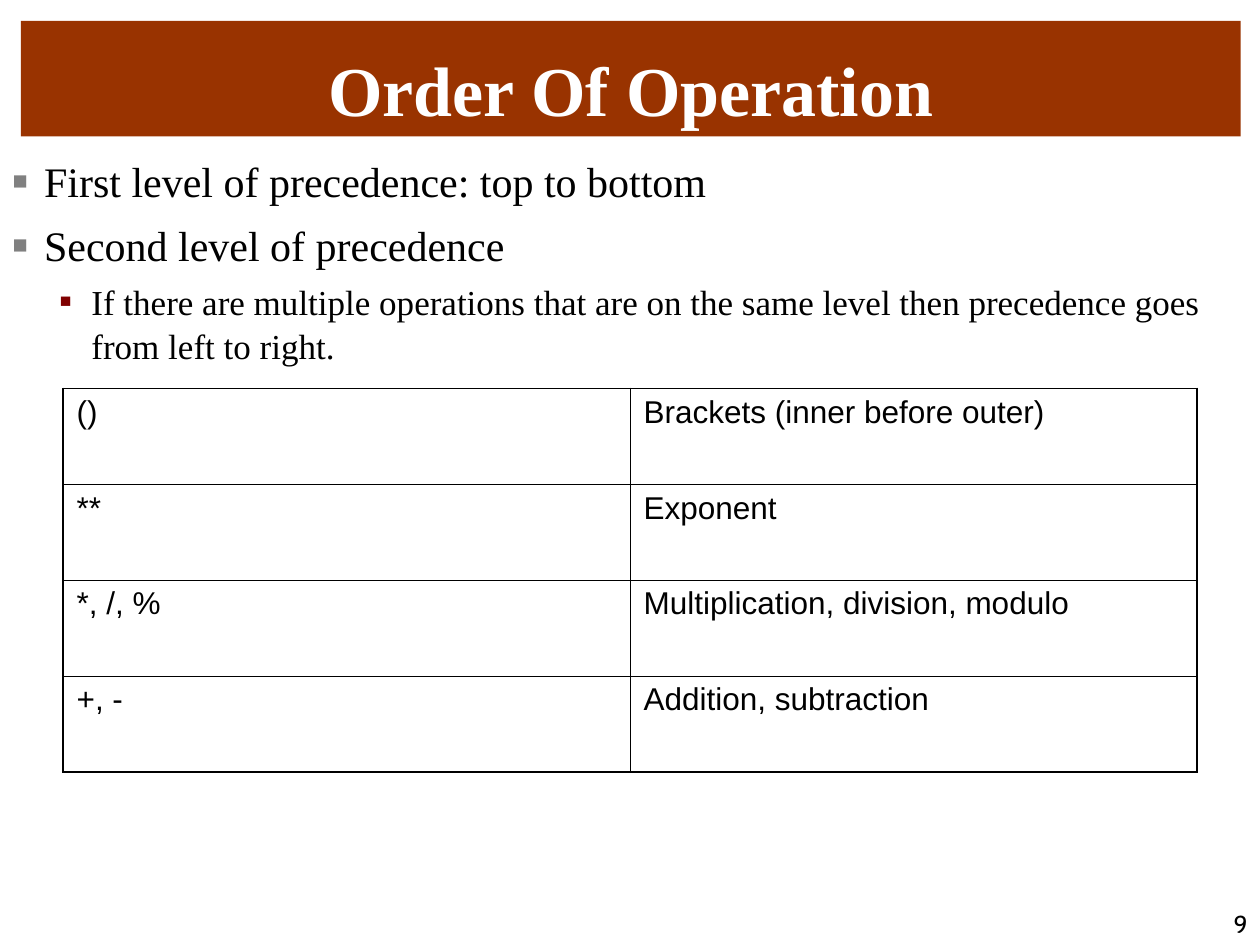
import pptx
import pptx.dml.color
import pptx.enum.text
import pptx.oxml
import pptx.oxml.ns
import pptx.util

Pt = pptx.util.Pt
ALIGN = pptx.enum.text.PP_ALIGN
ANCHOR = pptx.enum.text.MSO_ANCHOR
NS = pptx.oxml.ns.nsdecls("a")
SERIF = "Times New Roman"
BULLETS = [
    ("First level of precedence: top to bottom", 0),
    ("Second level of precedence", 0),
    ("If there are multiple operations that are on the same level "
     "then precedence goes from left to right.", 1),
]
LEVELS = [
    dict(size=24, before=6, indent=18, color="808080", scale=60),
    dict(size=20, before=5, indent=45, color="800000", scale=55),
]
OPERATORS = [
    ("()", "Brackets (inner before outer)"),
    ("**", "Exponent"),
    ("*, /, %", "Multiplication, division, modulo"),
    ("+, -", "Addition, subtraction"),
]


def rgb(color):
    return pptx.dml.color.RGBColor.from_string(color)


def write(p, text, font=SERIF, size=18, color="000000", bold=False,
          align=ALIGN.LEFT, before=0, spacing=None):
    p.alignment = align
    p.space_before = Pt(before)
    p.line_spacing = spacing
    r = p.add_run()
    r.text = text
    r.font.name = font
    r.font.size = Pt(size)
    r.font.bold = bold
    r.font.color.rgb = rgb(color)


def place(sp, box, anchor):
    sp.left, sp.top, sp.width, sp.height = [Pt(v) for v in box]
    tf = sp.text_frame
    tf.word_wrap = True
    tf.auto_size = pptx.enum.text.MSO_AUTO_SIZE.NONE
    tf.vertical_anchor = anchor
    return tf


def add_bullet(p, indent, color, scale):
    pPr = p._p.get_or_add_pPr()
    pPr.set("marL", str(Pt(indent)))
    pPr.set("indent", str(Pt(-18)))
    for xml in (f'<a:buClr {NS}><a:srgbClr val="{color}"/></a:buClr>',
                f'<a:buSzPct {NS} val="{scale * 1000}"/>',
                f'<a:buFont {NS} typeface="Arial"/>',
                f'<a:buChar {NS} char="■"/>'):
        pPr.append(pptx.oxml.parse_xml(xml))


def add_title(s, box):
    sp = s.shapes.title
    tf = place(sp, box, ANCHOR.BOTTOM)
    sp.fill.solid()
    sp.fill.fore_color.rgb = rgb("993300")
    write(tf.paragraphs[0], "Order Of Operation", size=40, color="FFFFFF",
          bold=True, align=ALIGN.CENTER)


def add_body(s, box):
    tf = place(s.placeholders[1], box, ANCHOR.TOP)
    for i, (text, level) in enumerate(BULLETS):
        p = tf.add_paragraph() if i else tf.paragraphs[0]
        p.level = level
        style = LEVELS[level]
        write(p, text, size=style["size"], before=style["before"], spacing=1.05)
        add_bullet(p, style["indent"], style["color"], style["scale"])


def set_borders(cell, outer):
    tcPr = cell._tc.get_or_add_tcPr()
    for i, side in enumerate("LRTB"):
        width = Pt(1.08 if side in outer else 0.45)
        tcPr.insert(i, pptx.oxml.parse_xml(
            f'<a:ln{side} {NS} w="{width}"><a:solidFill>'
            f'<a:srgbClr val="000000"/></a:solidFill></a:ln{side}>'))


def add_operators(s, box):
    rows, cols = len(OPERATORS), len(OPERATORS[0])
    table = s.shapes.add_table(rows, cols, *[Pt(v) for v in box]).table
    table.first_row = table.horz_banding = False
    for i, texts in enumerate(OPERATORS):
        for j, text in enumerate(texts):
            cell = table.cell(i, j)
            cell.fill.background()
            cell.margin_left = cell.margin_right = Pt(7.8)
            cell.margin_top = cell.margin_bottom = Pt(3.6)
            write(cell.text_frame.paragraphs[0], text, font="Arial", before=6.8)
            edges = {"T": i == 0, "B": i == rows - 1,
                     "L": j == 0, "R": j == cols - 1}
            set_borders(cell, [side for side in edges if edges[side]])


def add_number(s, box):
    sp = s.shapes.add_textbox(*[Pt(v) for v in box])
    tf = place(sp, box, ANCHOR.BOTTOM)
    write(tf.paragraphs[0], "9", font="Cabin", size=14, align=ALIGN.RIGHT)


def main():
    prs = pptx.Presentation()
    prs.slide_width, prs.slide_height = Pt(720), Pt(540)
    s = prs.slides.add_slide(prs.slide_layouts[1])
    add_number(s, (612, 504, 108, 36))
    add_title(s, (12, 12, 697, 66))
    add_body(s, (0, 84, 720, 438))
    add_operators(s, (36, 222, 648, 219))
    prs.save("out.pptx")


if __name__ == "__main__":
    main()
